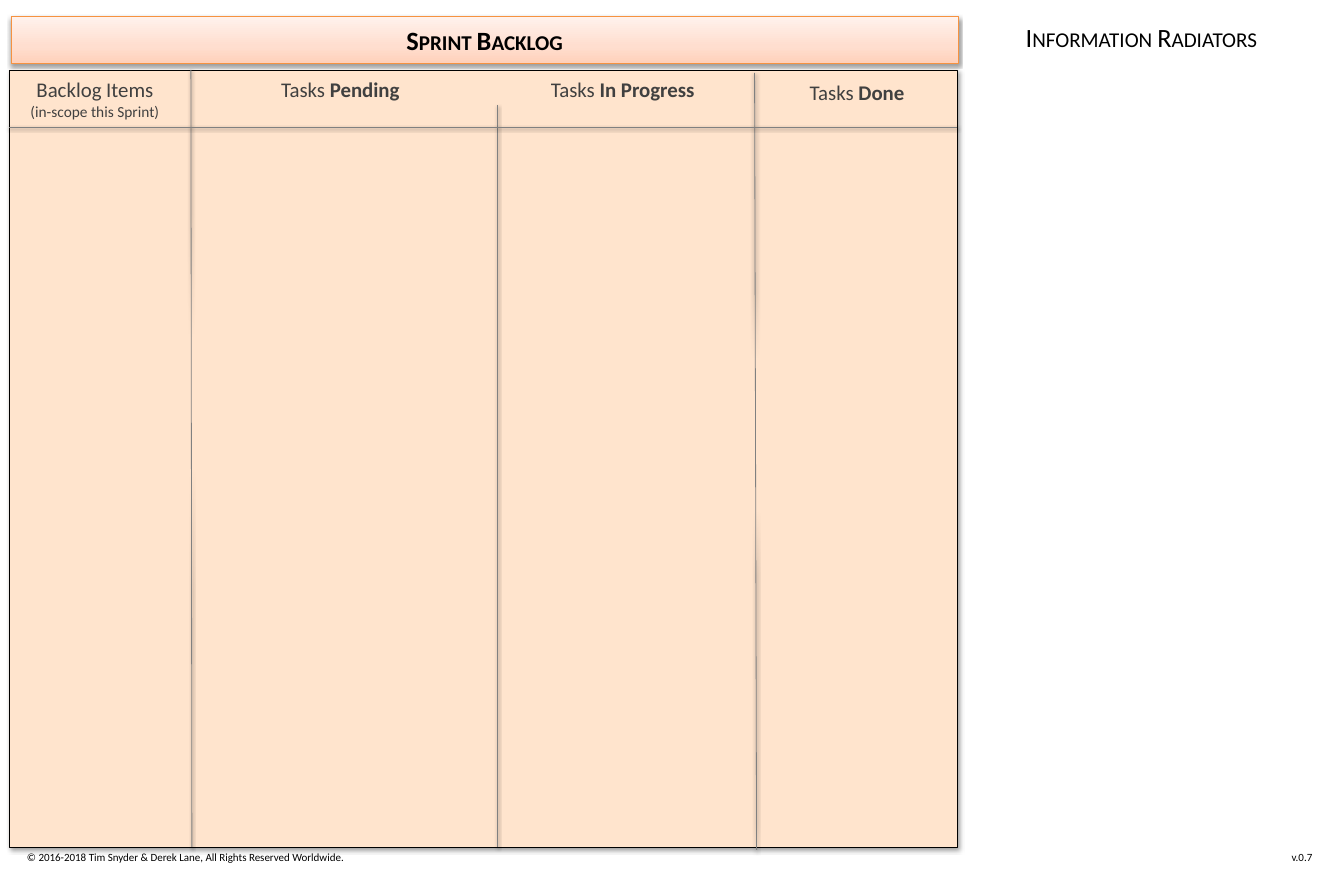
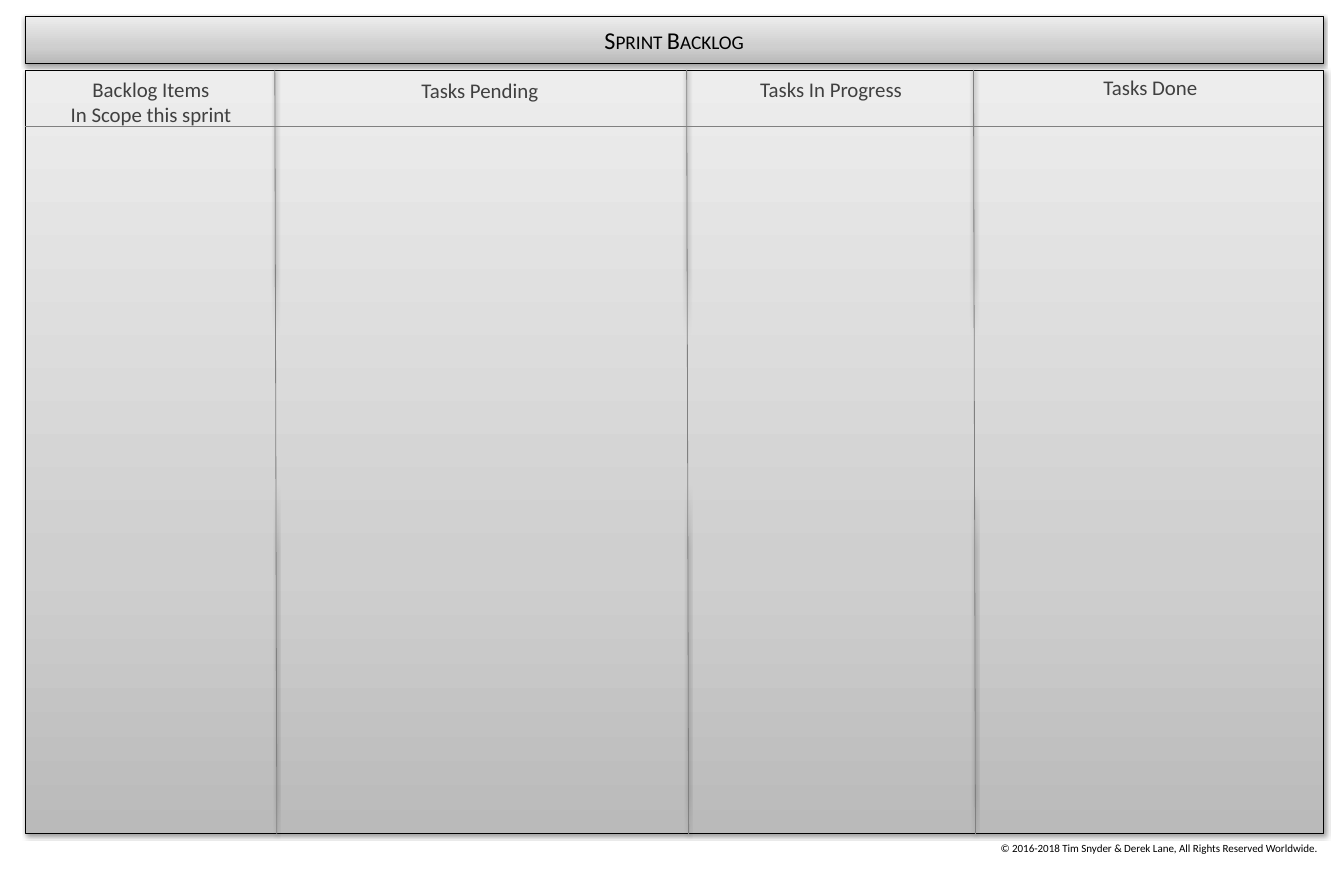
"""Build two sprint backlog boards, one warm and one grey."""
import copy

import lxml.etree
import pptx
import pptx.dml.color
import pptx.enum.shapes
import pptx.enum.text
import pptx.oxml.ns
import pptx.util

COLORS = {
    "black": "000000", "heading": "404040", "rule": "808080", "orange": "F69240", "peach": "FFE4CD",
    "warm_dark": "FFD1BB", "warm_mid": "FFDECF", "warm_light": "FFF2ED",
    "grey_dark": "BABABA", "grey_mid": "CFCFCF", "grey_light": "EDEDED",
}
WARM = ((0, "warm_dark"), (0.35, "warm_mid"), (1, "warm_light"))
GREY = ((0, "grey_dark"), (0.35, "grey_mid"), (1, "grey_light"))
BANNER_SHADOW = {"alpha": 38, "blur": 3, "distance": 1.6, "angle": 90}
BOARD_SHADOW = {"alpha": 40, "blur": 4, "distance": 3, "angle": 45}
COPYRIGHT = "©\u00a02016-2018 Tim Snyder & Derek Lane, All Rights Reserved Worldwide."

BOARDS = [
    {
        "title": "Sprint Backlog", "title_size": 24, "title_bold": True,
        "banner": (11, 16, 948, 47), "banner_fill": WARM, "banner_line": "orange",
        "board": (9, 70, 949, 778), "board_fill": "peach", "heading_fill": "peach",
        "header_rule": 127,
        "dividers": [(191, 70, 192, 847), (498, 105, 498, 847), (755, 73, 757, 850)],
        "headings": [
            ((13, 73, 164, 50), [[("Backlog Items", 19, False)], [("(in-scope this Sprint)", 14, False)]]),
            ((211, 73, 259, 32), [[("Tasks ", 19, False), ("Pending", 19, True)]]),
            ((506, 73, 234, 32), [[("Tasks ", 19, False), ("In Progress", 19, True)]]),
            ((767, 76, 181, 32), [[("Tasks ", 19, False), ("Done", 19, True)]]),
        ],
        "notes": [
            ((23, 847, 447, 20), COPYRIGHT, 10, "LEFT", False),
            ((1016, 17, 252, 39), "Information Radiators", 24, "CENTER", True),
            ((1152, 847, 165, 20), "v.0.7", 10, "RIGHT", False),
        ],
    },
    {
        "title": "Sprint Backlog", "title_size": 22, "title_bold": False,
        "banner": (25, 16, 1299, 47), "banner_fill": GREY, "banner_line": "black",
        "board": (25, 70, 1299, 764), "board_fill": GREY, "heading_fill": None,
        "header_rule": 126,
        "dividers": [(left, 70, left + 2, 834) for left in (275, 687, 974)],
        "headings": [
            ((25, 73, 252, 56), [[("Backlog Items", 19, False)], [("In Scope this sprint", 19, False)]]),
            ((274, 74, 412, 32), [[("Tasks Pending", 19, False)]]),
            ((687, 73, 289, 32), [[("Tasks In Progress", 19, False)]]),
            ((978, 71, 346, 32), [[("Tasks Done", 19, False)]]),
        ],
        "notes": [((975, 838, 369, 20), COPYRIGHT, 10, "CENTER", False)],
    },
]


def emu(*pixels):
    return [round(pixel * 914400 / 79.1) for pixel in pixels]


def rgb(name):
    return pptx.dml.color.RGBColor.from_string(COLORS[name])


def paint(shape, color):
    """Fill with one named colour or with a list of gradient stops."""
    if isinstance(color, str):
        shape.fill.solid()
        shape.fill.fore_color.rgb = rgb(color)
        return
    shape.fill.gradient()
    shape.fill.gradient_angle = 90
    stop_list = shape._element.spPr.find(".//" + pptx.oxml.ns.qn("a:gsLst"))
    while len(stop_list) < len(color):
        stop_list.append(copy.deepcopy(stop_list[-1]))
    for stop, (position, name) in zip(shape.fill.gradient_stops, color):
        stop.position = position
        stop.color.rgb = rgb(name)


def outline(shape, color):
    shape.line.color.rgb = rgb(color)
    shape.line.width = pptx.util.Pt(0.75)


def cast_shadow(shape, alpha, blur, distance, angle):
    qn = pptx.oxml.ns.qn
    properties = shape._element.spPr
    effects = properties.find(qn("a:effectLst"))
    if effects is None:
        effects = lxml.etree.SubElement(properties, qn("a:effectLst"))
    shadow = lxml.etree.SubElement(
        effects, qn("a:outerShdw"), blurRad=str(pptx.util.Pt(blur)),
        dist=str(pptx.util.Pt(distance)), dir=str(angle * 60000), rotWithShape="0")
    tint = lxml.etree.SubElement(shadow, qn("a:srgbClr"), val=COLORS["black"])
    lxml.etree.SubElement(tint, qn("a:alpha"), val=str(alpha * 1000))


def write(shape, paragraphs, color="black", align="CENTER", anchor="TOP", small_caps=False):
    """Write paragraphs, each a list of (text, size, bold)."""
    frame = shape.text_frame
    frame.word_wrap = True
    frame.vertical_anchor = pptx.enum.text.MSO_ANCHOR[anchor]
    frame.margin_left = frame.margin_right = frame.margin_top = frame.margin_bottom = emu(4)[0]
    for index, spans in enumerate(paragraphs):
        para = frame.add_paragraph() if index else frame.paragraphs[0]
        para.alignment = pptx.enum.text.PP_ALIGN[align]
        for text, size, bold in spans:
            span = para.add_run()
            span.text = text
            span.font.name = "Calibri"
            span.font.size = pptx.util.Pt(size)
            span.font.bold = bold
            span.font.color.rgb = rgb(color)
            if small_caps:
                span.font._element.set("cap", "small")


def add_panel(page, bounds, fill, line, shadow):
    panel = page.shapes.add_shape(pptx.enum.shapes.MSO_SHAPE.RECTANGLE, *emu(*bounds))
    panel.shadow.inherit = False
    paint(panel, fill)
    outline(panel, line)
    cast_shadow(panel, **shadow)
    return panel


def add_rule(page, ends):
    rule = page.shapes.add_connector(pptx.enum.shapes.MSO_CONNECTOR.STRAIGHT, *emu(*ends))
    outline(rule, "rule")
    cast_shadow(rule, **BANNER_SHADOW)


def build_board(page, content):
    banner = add_panel(page, content["banner"], content["banner_fill"], content["banner_line"], BANNER_SHADOW)
    write(banner, [[(content["title"], content["title_size"], content["title_bold"])]],
          anchor="MIDDLE", small_caps=True)
    add_panel(page, content["board"], content["board_fill"], "black", BOARD_SHADOW)
    left, _, width, _ = content["board"]
    header_rule = (left, content["header_rule"], left + width, content["header_rule"])
    for ends in content["dividers"] + [header_rule]:
        add_rule(page, ends)
    for bounds, paragraphs in content["headings"]:
        heading = page.shapes.add_textbox(*emu(*bounds))
        if content["heading_fill"]:
            paint(heading, content["heading_fill"])
        write(heading, paragraphs, color="heading")
    for bounds, text, size, align, small_caps in content["notes"]:
        note = page.shapes.add_textbox(*emu(*bounds))
        write(note, [[(text, size, False)]], align=align, small_caps=small_caps)


deck = pptx.Presentation()
deck.slide_width = pptx.util.Inches(17)
deck.slide_height = pptx.util.Inches(11)
for board in BOARDS:
    build_board(deck.slides.add_slide(deck.slide_layouts[6]), board)
deck.save("out.pptx")
